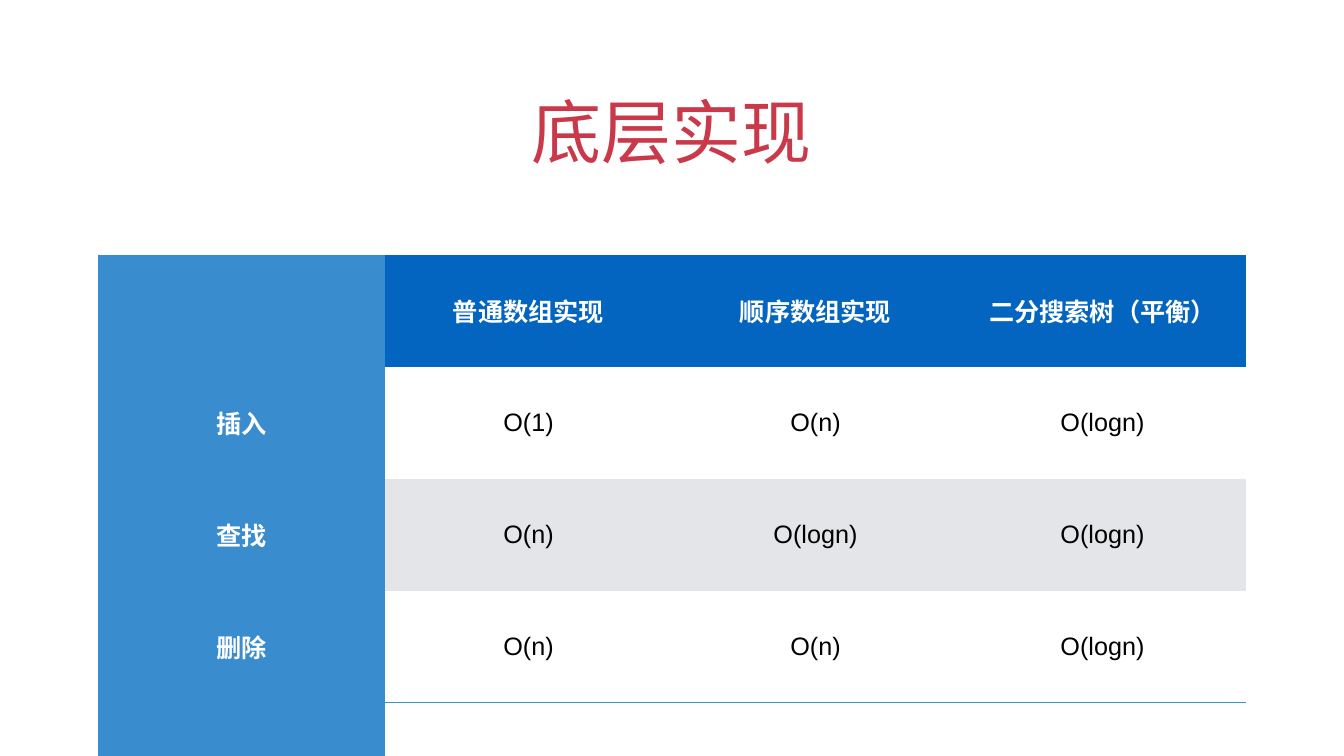
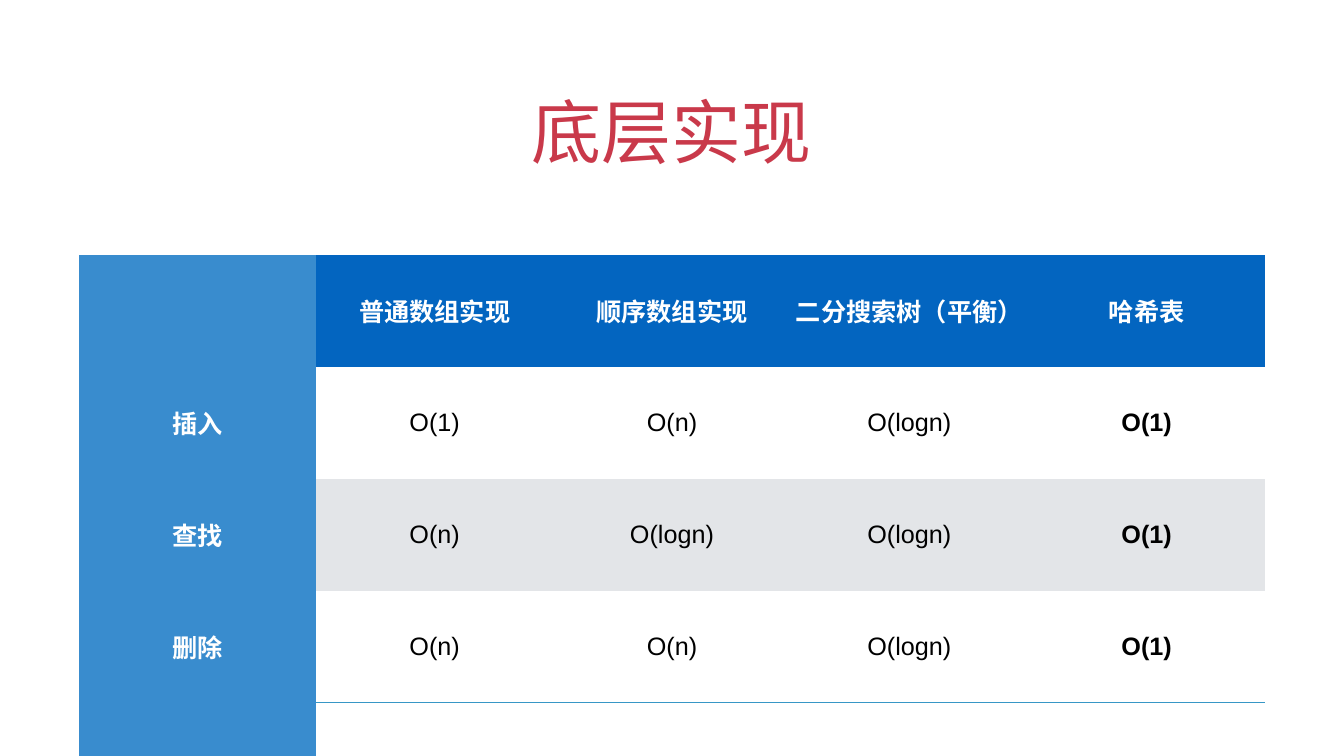
from pptx import Presentation
from pptx.dml.color import RGBColor
from pptx.enum.text import MSO_ANCHOR, MSO_AUTO_SIZE, PP_ALIGN
from pptx.oxml import parse_xml
from pptx.oxml.ns import nsdecls, qn
from pptx.util import Inches, Pt

# Shared look
FONT = "Arial"
RED, BLUE, SKY, GREY = "C9394A", "0365C0", "398CCE", "E3E5E8"
WHITE, BLACK, RULE = "FFFFFF", "000000", "3797C6"
WIDE, TOP, ROW, PAD = 26.67, 5.06, 2.22, Inches(0.06)
NO_GRID = "{2D5ABB26-0587-4C30-8999-92F81FD0307C}"


def color(code):
    return RGBColor.from_string(code)


def write(frame, text, size=36, ink=BLACK, bold=False):
    para = frame.paragraphs[0]
    para.alignment = PP_ALIGN.CENTER
    run = para.add_run()
    run.text = text
    run.font.name = FONT
    run.font.size = Pt(size)
    run.font.bold = bold
    run.font.color.rgb = color(ink)


# Content: the second slide adds one column
base = [
    ["", "普通数组实现", "顺序数组实现", "二分搜索树（平衡）"],
    ["插入", "O(1)", "O(n)", "O(logn)"],
    ["查找", "O(n)", "O(logn)", "O(logn)"],
    ["删除", "O(n)", "O(n)", "O(logn)"],
    ["", "", "", ""],
]
hash_col = ["哈希表", "O(1)", "O(1)", "O(1)", ""]
full = [row + [last] for row, last in zip(base, hash_col)]

deck = Presentation()
deck.slide_width, deck.slide_height = Inches(WIDE), Inches(15)

for rows, width, bold_col in ((base, 22.78, None), (full, 23.55, 4)):
    slide = deck.slides.add_slide(deck.slide_layouts[0])
    sub = slide.placeholders[1].element
    sub.getparent().remove(sub)

    # Title
    title = slide.shapes.title
    title.left, title.top = Inches(1.94), Inches(1.27)
    title.width, title.height = Inches(22.78), Inches(2.22)
    frame = title.text_frame
    frame.auto_size = MSO_AUTO_SIZE.NONE
    frame.vertical_anchor = MSO_ANCHOR.BOTTOM
    frame.margin_left = frame.margin_right = PAD
    frame.margin_top = frame.margin_bottom = PAD
    write(frame, "底层实现", size=100, ink=RED)

    # Table, centred across the slide
    cols = len(rows[0])
    table = slide.shapes.add_table(
        len(rows), cols, Inches((WIDE - width) / 2), Inches(TOP),
        Inches(width), Inches(ROW * len(rows))).table
    table.first_row = table.horz_banding = False
    table._tbl.tblPr.find(qn("a:tableStyleId")).text = NO_GRID

    for r, row in enumerate(rows):
        for c, text in enumerate(row):
            cell = table.cell(r, c)
            head = r == 0 or c == 0
            if c == 0:
                fill = SKY
            elif r == 0:
                fill = BLUE
            else:
                fill = GREY if r == 2 else WHITE
            cell.fill.solid()
            cell.fill.fore_color.rgb = color(fill)
            cell.vertical_anchor = MSO_ANCHOR.MIDDLE
            cell.margin_left = cell.margin_right = PAD
            cell.margin_top = cell.margin_bottom = PAD
            if text:
                write(cell.text_frame, text, ink=WHITE if head else BLACK,
                      bold=head or c == bold_col)

            # Rule above the last row
            if r == len(rows) - 1 and c > 0:
                cell._tc.get_or_add_tcPr().insert(0, parse_xml(
                    f'<a:lnT {nsdecls("a")} w="{Pt(1)}"><a:solidFill>'
                    f'<a:srgbClr val="{RULE}"/></a:solidFill></a:lnT>'))

deck.save("out.pptx")
